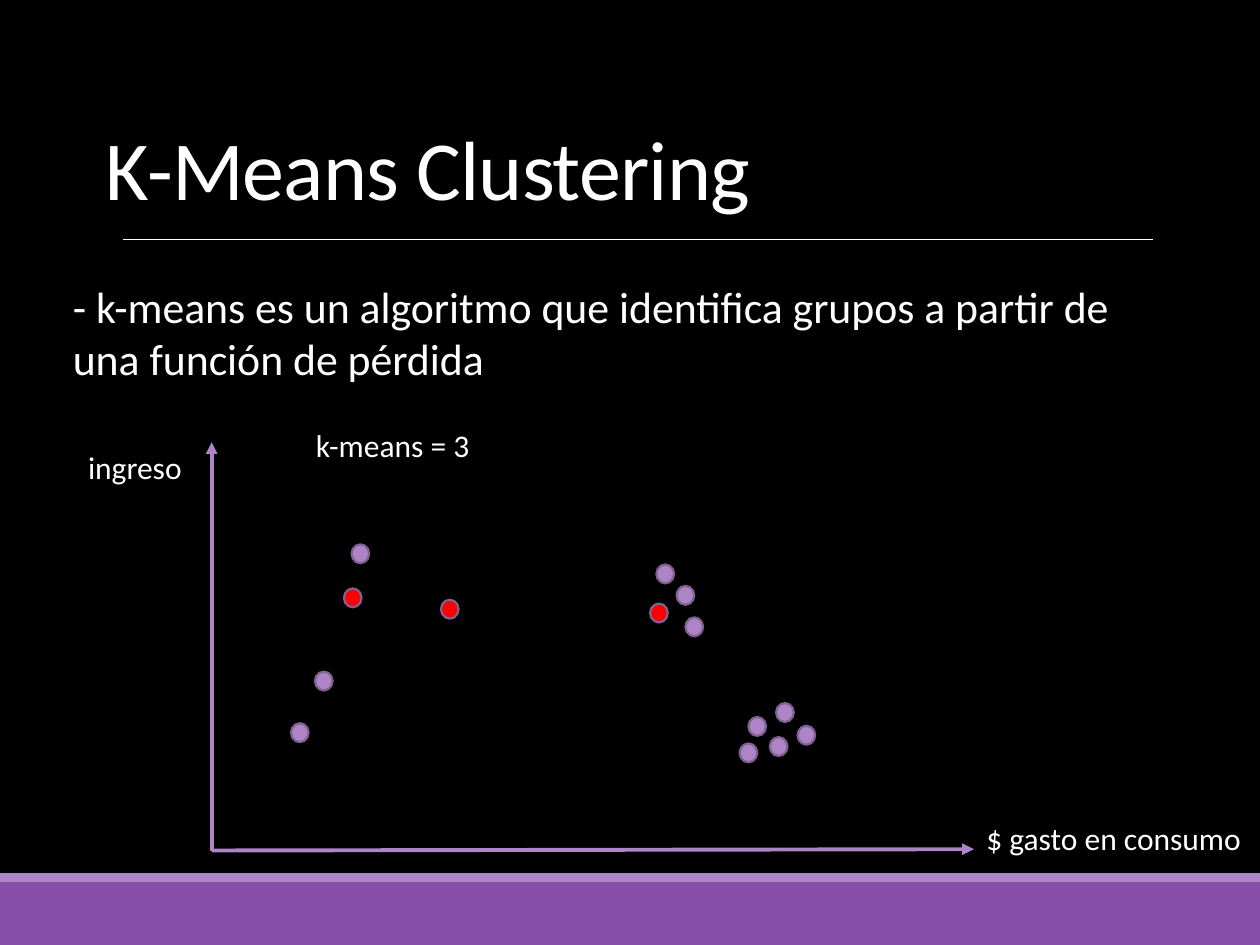
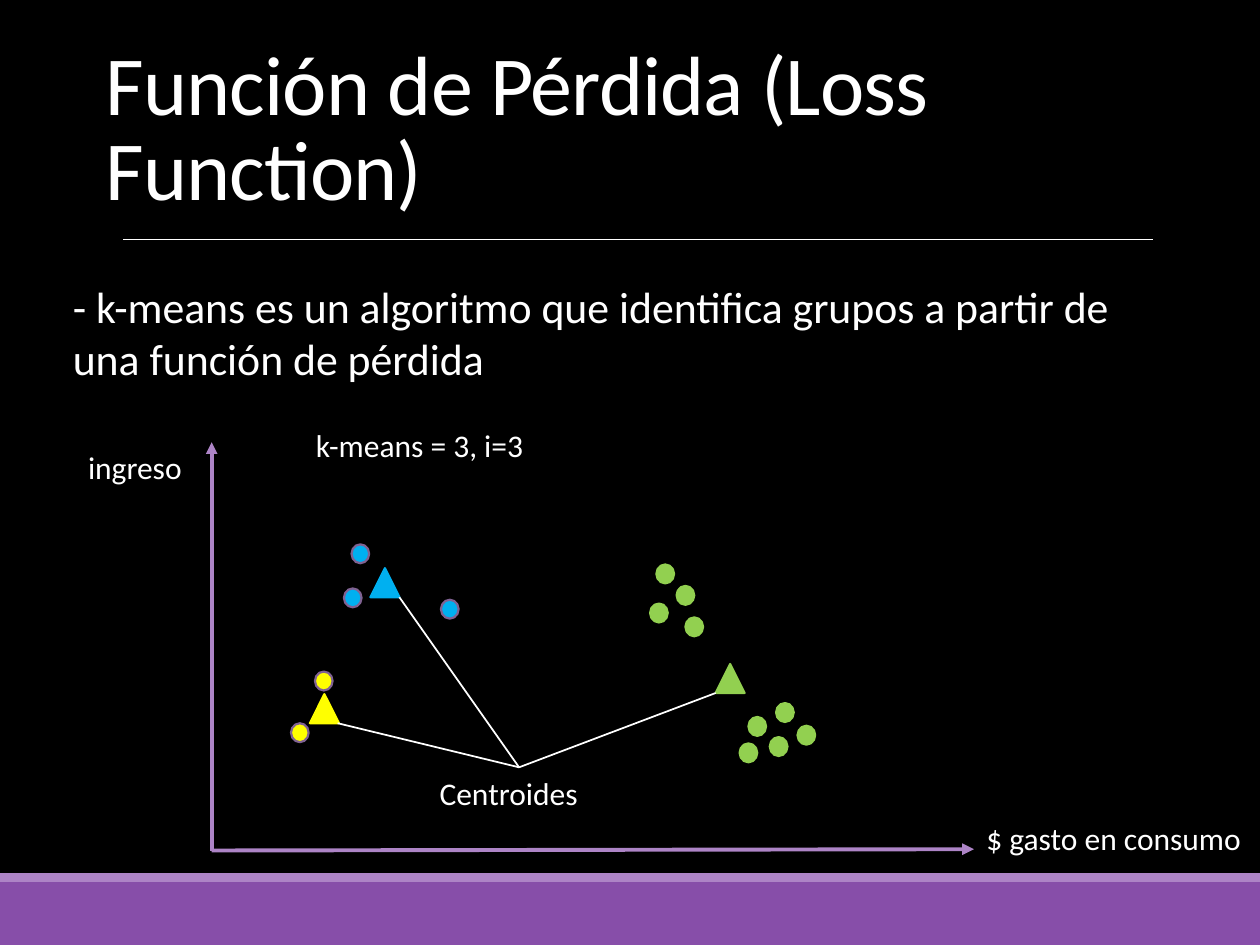
import pptx
import pptx.dml.color
import pptx.enum.shapes
import pptx.enum.text
import pptx.oxml.ns
import pptx.util
from lxml import etree

SHAPES = pptx.enum.shapes.MSO_SHAPE
FONT = "Calibri"
COLUMNS, ROWS = 100, 75
TITLE_ONLY = 5

COLORS = {
    "background": "000000",
    "text": "FFFFFF",
    "band": "874EA9",
    "accent": "AD84C6",
    "outline": "806292",
    "seed": "FF0000",
    "blue": "00B0F0",
    "yellow": "FFFF00",
    "green": "92D050",
}

# Left and top of each customer's dot, in columns and rows
HIGH_INCOME = [(35, 47.6), (27.9, 43.2), (27.3, 46.7)]
LOW_INCOME = [(23.1, 57.4), (25, 53.3)]
HIGH_SPENDING = [
    (52.1, 44.8), (53.7, 46.5), (54.4, 49), (51.6, 47.9),
    (59.4, 56.9), (61.1, 58.5), (58.7, 59), (61.6, 55.8), (63.3, 57.6),
]
CUSTOMERS = HIGH_INCOME + LOW_INCOME + HIGH_SPENDING
SEEDS = [(35, 47.6), (27.3, 46.7), (51.6, 47.9)]
DOT_SIZE = (1.4, 1.5)

# Fill, outline and members of each cluster
CLUSTERS = [
    ("blue", "outline", HIGH_INCOME),
    ("yellow", "outline", LOW_INCOME),
    ("green", "green", HIGH_SPENDING),
]
# Centroid colour, its left and top, and the corner its pointer reaches
CENTROIDS = [
    ("yellow", (24.6, 55.1), (26.8, 57.4)),
    ("blue", (29.4, 45.1), (31.7, 47.4)),
    ("green", (56.8, 52.7), (56.8, 55)),
]
CENTROID_SIZE = (2.3, 2.3)
POINTER_START = (41.2, 60.9)
ORIGIN = (16.8, 67.5)


def rgb(name):
    return pptx.dml.color.RGBColor.from_string(COLORS[name])


class Slides:
    """Holds the deck, its style and the page being drawn."""

    def __init__(self):
        self.deck = pptx.Presentation()
        self.deck.slide_width = pptx.util.Inches(10)
        self.deck.slide_height = pptx.util.Inches(7.5)
        background = self.deck.slide_master.background.fill
        background.solid()
        background.fore_color.rgb = rgb("background")
        self.page = None

    def place(self, column, row):
        """Turn a column and a row into slide lengths."""
        return (round(self.deck.slide_width * column / COLUMNS),
                round(self.deck.slide_height * row / ROWS))

    def fill_frame(self, frame, text, points):
        """Put one styled run in the frame; return its paragraph and run."""
        frame.word_wrap = True
        para = frame.paragraphs[0]
        para.alignment = pptx.enum.text.PP_ALIGN.LEFT
        span = para.add_run()
        span.text = text
        span.font.name = FONT
        span.font.size = pptx.util.Pt(points)
        span.font.color.rgb = rgb("text")
        return para, span

    def new_page(self, title):
        layout = self.deck.slide_layouts[TITLE_ONLY]
        self.page = self.deck.slides.add_slide(layout)
        self.shape(SHAPES.RECTANGLE, (0, 70), (100, 5), "band")
        self.shape(SHAPES.RECTANGLE, (0, 69.3), (100, 0.7), "accent")
        self.line((9.8, 19), (91.5, 19), "text", 0.5)
        self.title(title)

    def title(self, text):
        box = self.page.shapes.title
        box.left, box.top = self.place(7.4, 1.9)
        box.width, box.height = self.place(82.5, 15.9)
        frame = box.text_frame
        frame.auto_size = pptx.enum.text.MSO_AUTO_SIZE.NONE
        frame.vertical_anchor = pptx.enum.text.MSO_ANCHOR.BOTTOM
        para, span = self.fill_frame(frame, text, 48)
        para.line_spacing = 0.85
        span._r.get_or_add_rPr().set("spc", "-50")

    def text(self, text, position, size, points=18):
        box = self.page.shapes.add_textbox(*self.place(*position), *self.place(*size))
        self.fill_frame(box.text_frame, text, points)

    def shape(self, kind, position, size, fill, outline=None):
        shape = self.page.shapes.add_shape(
            kind, *self.place(*position), *self.place(*size))
        shape.shadow.inherit = False
        shape.fill.solid()
        shape.fill.fore_color.rgb = rgb(fill)
        if outline:
            shape.line.color.rgb = rgb(outline)
            shape.line.width = pptx.util.Pt(1.25)
        else:
            shape.line.fill.background()

    def line(self, start, end, color, width, arrow=False):
        connector = self.page.shapes.add_connector(
            pptx.enum.shapes.MSO_CONNECTOR.STRAIGHT,
            *self.place(*start), *self.place(*end))
        connector.line.color.rgb = rgb(color)
        connector.line.width = pptx.util.Pt(width)
        qn = pptx.oxml.ns.qn
        properties = connector._element.spPr
        if arrow:
            outline = properties.find(qn("a:ln"))
            etree.SubElement(outline, qn("a:tailEnd"), type="triangle")
        etree.SubElement(properties, qn("a:effectLst"))

    def dots(self, positions, color, outline="outline"):
        for position in positions:
            self.shape(SHAPES.OVAL, position, DOT_SIZE, color, outline)

    def scatter_page(self, title, caption):
        """Start a page with the shared statement, axes and axis labels."""
        self.new_page(title)
        self.text("- k-means es un algoritmo que identifica grupos a partir de "
                  "una función de pérdida", (4.8, 21.7), (87.7, 9.4), 25)
        self.line(ORIGIN, (16.8, 35.1), "accent", 2.25, arrow=True)
        self.line(ORIGIN, (77.3, 67.4), "accent", 2.25, arrow=True)
        self.text("ingreso", (6, 35.1), (9.8, 4))
        self.text("$ gasto en consumo", (77.3, 64.5), (22.7, 4))
        self.text(caption, (24.1, 33.3), (20.3, 4))


def main():
    slides = Slides()

    slides.scatter_page("K-Means Clustering", "k-means = 3")
    slides.dots([dot for dot in CUSTOMERS if dot not in SEEDS], "accent")
    slides.dots(SEEDS, "seed")

    slides.scatter_page("Función de Pérdida (Loss Function)", "k-means = 3, i=3")
    for color, outline, members in CLUSTERS:
        slides.dots(members, color, outline)
    for color, position, corner in CENTROIDS:
        slides.shape(SHAPES.ISOSCELES_TRIANGLE, position, CENTROID_SIZE, color, color)
        slides.line(POINTER_START, corner, "text", 1)
    slides.text("Centroides", (33.9, 60.9), (14.8, 4))

    slides.deck.save("out.pptx")


if __name__ == "__main__":
    main()
